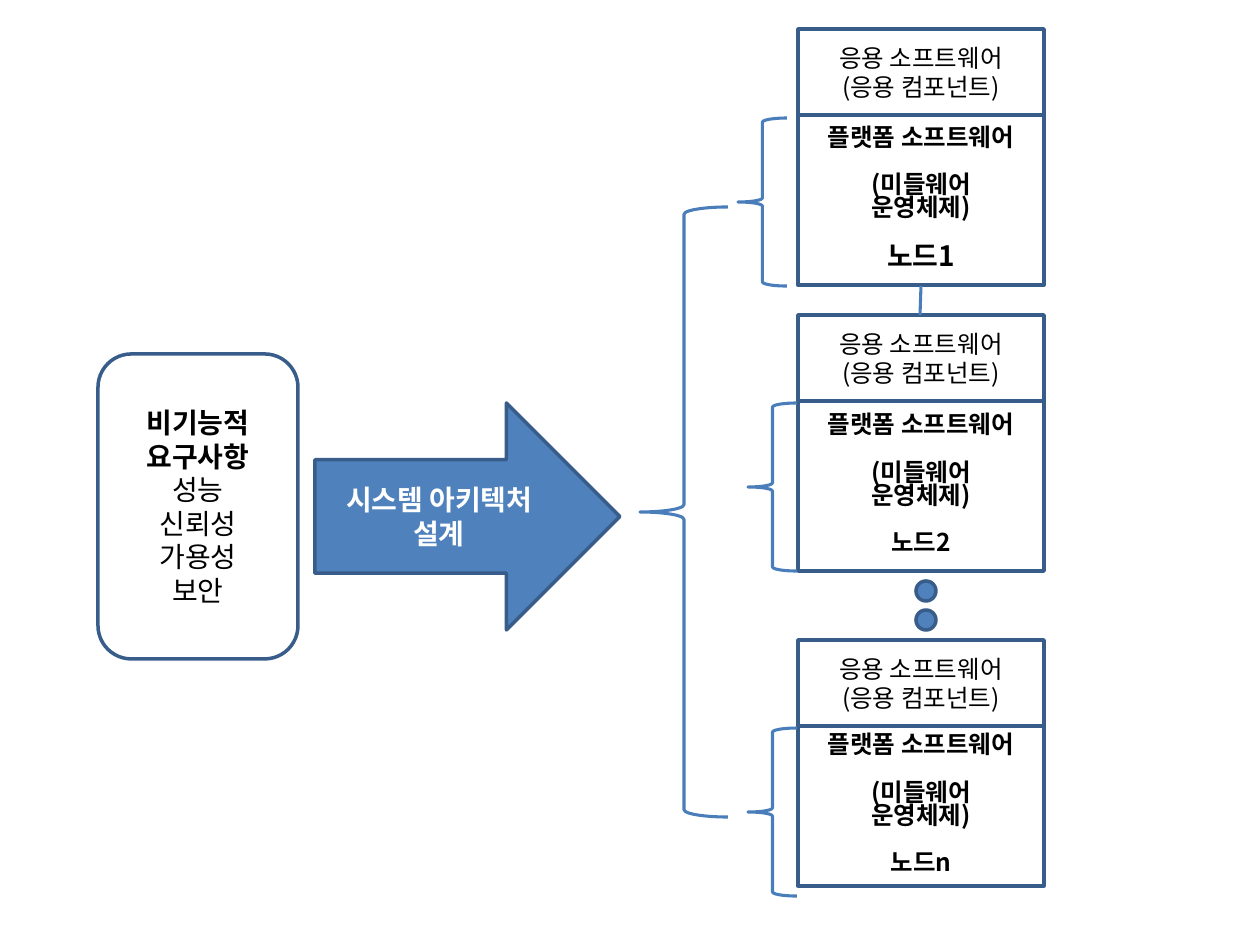
from lxml import etree
from pptx import Presentation
from pptx import util as u
from pptx.enum import shapes, text
from pptx.dml.color import RGBColor
from pptx.oxml.ns import qn

SCALE = 914400 / 126
FONT = "Noto Sans CJK KR"
COLORS = {"fill": "4F81BD", "edge": "385D8A", "brace": "4A7EBB",
          "ink": "000000", "light": "FFFFFF"}
NODES = [
    {"top": 29, "height": 170, "name": "노드1", "size": 16, "brace": (738, 118)},
    {"top": 315, "height": 170, "name": "노드2", "size": 14, "brace": (748, 403)},
    {"top": 640, "height": 160, "name": "노드n", "size": 14, "brace": (748, 728)},
]
NODE_LEFT, NODE_WIDTH, APP_HEIGHT = 798, 246, 86


def px(value):
    return u.Emu(round(value * SCALE))


def color(name):
    return RGBColor.from_string(COLORS[name])


def add_box(page, kind, place, fill=None, edge="edge", weight=2):
    box = page.shapes.add_shape(kind, *map(px, place))
    box.shadow.inherit = False
    if fill:
        box.fill.solid()
        box.fill.fore_color.rgb = color(fill)
    else:
        box.fill.background()
    box.line.color.rgb = color(edge)
    box.line.width = u.Pt(weight)
    return box


def write(box, lines, ink="ink"):
    """Fill a box with lines of (wording, size, bold, line spacing, space before)."""
    frame = box.text_frame
    frame.word_wrap = True
    frame.vertical_anchor = text.MSO_ANCHOR.MIDDLE
    for index, (wording, size, bold, spacing, before) in enumerate(lines):
        para = frame.paragraphs[0] if index == 0 else frame.add_paragraph()
        layout = {"alignment": text.PP_ALIGN.CENTER, "line_spacing": u.Pt(spacing),
                  "space_before": u.Pt(before)}
        for key, value in layout.items():
            setattr(para, key, value)
        span = para.add_run()
        span.text = wording
        for key, value in {"name": FONT, "size": u.Pt(size), "bold": bold}.items():
            setattr(span.font, key, value)
        span.font.color.rgb = color(ink)
        latin = span.font._element.find(qn("a:latin"))
        east = etree.Element(qn("a:ea"), typeface=FONT)
        latin.addnext(east)


def add_brace(page, place):
    add_box(page, shapes.MSO_SHAPE.LEFT_BRACE, place, edge="brace", weight=1.75)


def add_link(page, start, end):
    link = page.shapes.add_connector(shapes.MSO_CONNECTOR.STRAIGHT,
                                     *map(px, start + end))
    link.line.color.rgb = color("brace")
    link.line.width = u.Pt(1.75)
    etree.SubElement(link._element.spPr, qn("a:effectLst"))


def add_node(page, node):
    rectangle = shapes.MSO_SHAPE.RECTANGLE
    middle = node["top"] + APP_HEIGHT
    platform = add_box(page, rectangle,
                       (NODE_LEFT, middle, NODE_WIDTH, node["height"]))
    write(platform, [
        ("플랫폼 소프트웨어", 14, True, 13.5, 0),
        ("(미들웨어", 14, True, 13.5, 13.5),
        ("운영체제)", 14, True, 13.5, 0),
        (node["name"], node["size"], True, node["size"] - 0.5, 13.5),
    ])
    application = add_box(page, rectangle,
                          (NODE_LEFT, node["top"], NODE_WIDTH, APP_HEIGHT))
    write(application, [(wording, 14, False, 17, 0)
                        for wording in ("응용 소프트웨어", "(응용 컴포넌트)")])
    add_brace(page, node["brace"] + (49, 168))


def main():
    deck = Presentation()
    deck.slide_width, deck.slide_height = px(1260), px(945)
    page = deck.slides.add_slide(deck.slide_layouts[6])

    needs = add_box(page, shapes.MSO_SHAPE.FLOWCHART_ALTERNATE_PROCESS,
                    (98, 354, 200, 305))
    headings = ["비기능적", "요구사항"]
    qualities = ["성능", "신뢰성", "가용성", "보안"]
    write(needs, [(wording, 16, wording in headings, 19.2, 0)
                  for wording in headings + qualities])

    arrow = add_box(page, shapes.MSO_SHAPE.RIGHT_ARROW, (315, 403, 305, 227), "fill")
    write(arrow, [("시스템 아키텍처 설계", 16, True, 19.2, 0)], "light")

    for node in NODES:
        add_node(page, node)
    add_link(page, (921, 286), (920, 315))
    for top in (581, 610):
        add_box(page, shapes.MSO_SHAPE.OVAL, (916, top, 20, 20), "fill")
    add_brace(page, (640, 207, 88, 610))
    deck.save("out.pptx")


if __name__ == "__main__":
    main()
